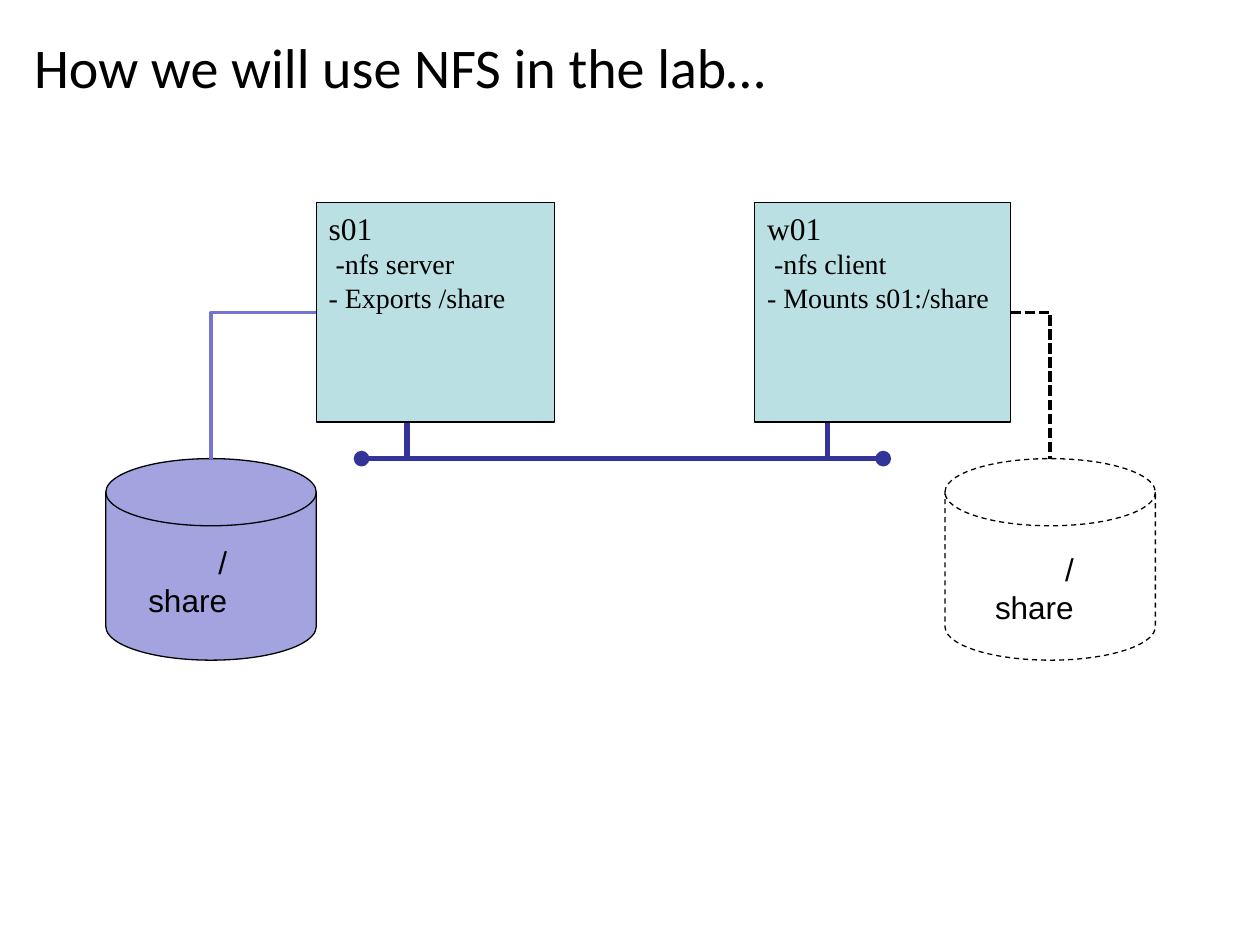
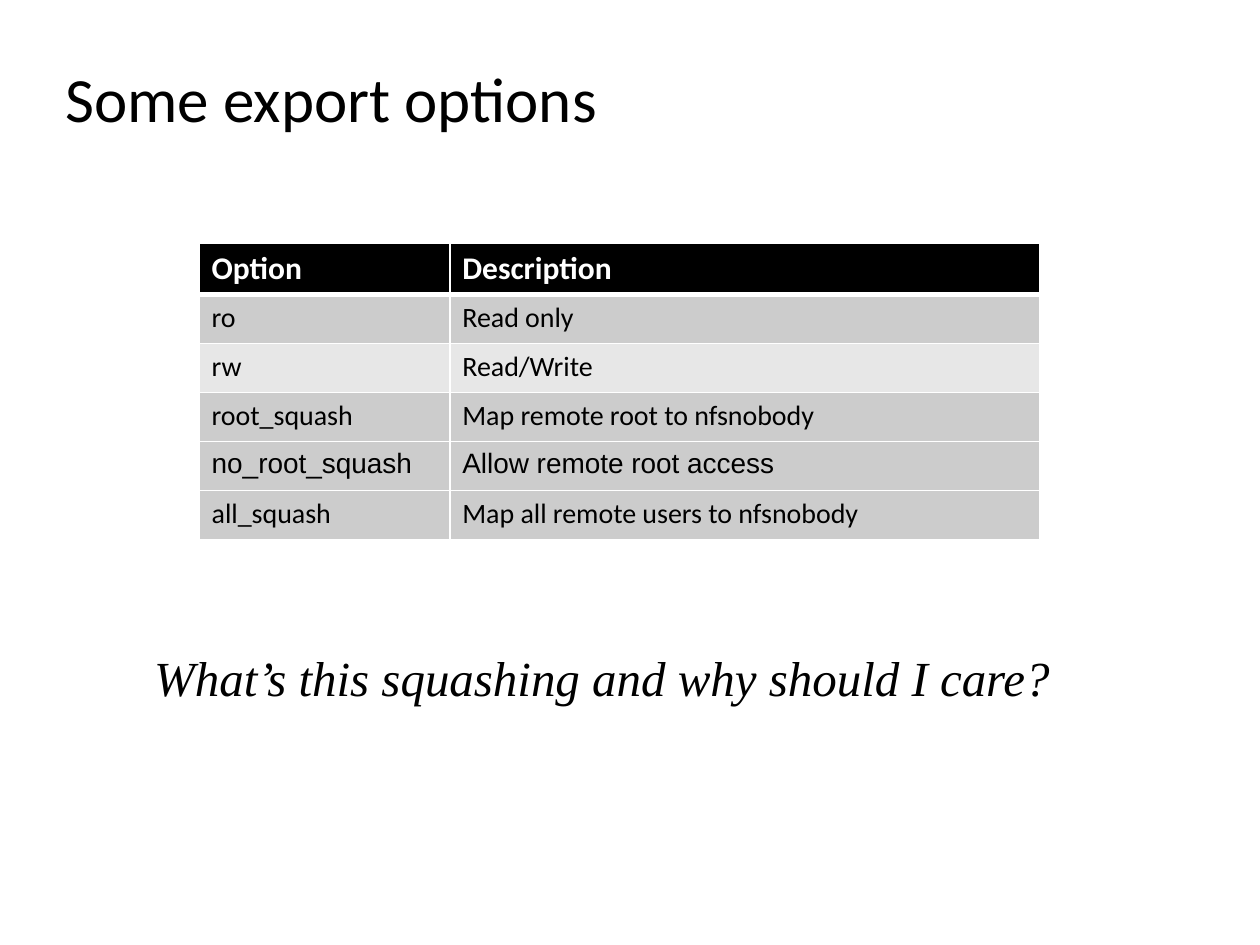
from dataclasses import dataclass
from typing import Optional

from lxml.etree import SubElement
from pptx import Presentation
from pptx.dml.color import RGBColor
from pptx.enum.dml import MSO_LINE
from pptx.enum.shapes import MSO_CONNECTOR, MSO_SHAPE
from pptx.enum.text import MSO_ANCHOR, MSO_AUTO_SIZE, PP_ALIGN
from pptx.oxml.ns import qn
from pptx.util import Inches, Pt

BLACK = RGBColor(0x00, 0x00, 0x00)
WHITE = RGBColor(0xFF, 0xFF, 0xFF)
HOST_FILL = RGBColor(0xBB, 0xE0, 0xE3)
DISK_FILL = RGBColor(0xA3, 0xA3, 0xE0)
DISK_LINK = RGBColor(0x75, 0x75, 0xD1)
NETWORK = RGBColor(0x33, 0x33, 0x99)
ROW_DARK = RGBColor(0xCC, 0xCC, 0xCC)
ROW_LIGHT = RGBColor(0xE7, 0xE7, 0xE7)

SANS, SERIF, PLAIN = "Calibri", "Times New Roman", "Arial"
TITLE_ONLY = 5

HOST_TOP, HOST_HEIGHT = 1.61, 1.74
LINK_Y = 2.48
NETWORK_Y = 3.64
DISK_WIDTH, DISK_HEIGHT = 1.67, 1.6


@dataclass
class Host:
    name: str
    roles: tuple[str, ...]
    left: float
    width: float
    drop_x: float


@dataclass
class Disk:
    left: float
    link_x: float
    label_left: float
    label_top: float
    fill: Optional[RGBColor]
    link_color: RGBColor
    dash: Optional[MSO_LINE] = None
    link_dash: Optional[MSO_LINE] = None


@dataclass
class Option:
    name: str
    description: str
    fill: RGBColor = ROW_DARK
    font: str = SANS


HOSTS = (
    Host("s01", (" -nfs server", "- Exports /share"), 2.51, 1.89, 3.23),
    Host("w01", (" -nfs client", "- Mounts s01:/share"), 5.99, 2.03, 6.57),
)
DISKS = (
    Disk(0.84, 2.51, 1.01, 4.26, DISK_FILL, DISK_LINK),
    Disk(7.5, 8.02, 7.73, 4.32, None, BLACK, MSO_LINE.DASH, MSO_LINE.SQUARE_DOT),
)
OPTIONS = (
    Option("ro", "Read only"),
    Option("rw", "Read/Write", fill=ROW_LIGHT),
    Option("root_squash", "Map remote root to nfsnobody"),
    Option("no_root_squash", "Allow remote root access", font=PLAIN),
    Option("all_squash", "Map all remote users to nfsnobody"),
)


def write(p, text: str, *, size: float, font: str, color: RGBColor = BLACK,
          bold: bool = False, italic: bool = False,
          align: PP_ALIGN = PP_ALIGN.LEFT) -> None:
    p.alignment = align
    r = p.add_run()
    r.text = text
    f = r.font
    f.size, f.name, f.bold, f.italic = Pt(size), font, bold, italic
    f.color.rgb = color


def add_titled_slide(prs, title: str, left: float, top: float, height: float,
                     size: float):
    slide = prs.slides.add_slide(prs.slide_layouts[TITLE_ONLY])
    s = slide.shapes.title
    s.left, s.top = Inches(left), Inches(top)
    s.width, s.height = Inches(9), Inches(height)
    tf = s.text_frame
    tf.auto_size = MSO_AUTO_SIZE.NONE
    tf.vertical_anchor = MSO_ANCHOR.TOP
    write(tf.paragraphs[0], title, size=size, font=SANS)
    return slide


def add_label(slide, text: str, left: float, top: float, width: float,
              height: float, *, wrap: bool, **style) -> None:
    s = slide.shapes.add_textbox(Inches(left), Inches(top),
                                 Inches(width), Inches(height))
    s.text_frame.word_wrap = wrap
    write(s.text_frame.paragraphs[0], text, align=PP_ALIGN.RIGHT, **style)


def add_box(slide, kind: MSO_SHAPE, left: float, top: float, width: float,
            height: float, fill: Optional[RGBColor],
            dash: Optional[MSO_LINE] = None):
    s = slide.shapes.add_shape(kind, Inches(left), Inches(top),
                               Inches(width), Inches(height))
    s.shadow.inherit = False
    if fill is None:
        s.fill.background()
    else:
        s.fill.solid()
        s.fill.fore_color.rgb = fill
    s.line.color.rgb = BLACK
    s.line.width = Pt(0.75)
    if dash is not None:
        s.line.dash_style = dash
    return s


def add_line(slide, x1: float, y1: float, x2: float, y2: float,
             color: RGBColor, width: float, *, bent: bool = False,
             dash: Optional[MSO_LINE] = None, oval_ends: bool = False) -> None:
    kind = MSO_CONNECTOR.ELBOW if bent else MSO_CONNECTOR.STRAIGHT
    s = slide.shapes.add_connector(kind, Inches(x1), Inches(y1),
                                   Inches(x2), Inches(y2))
    s.line.color.rgb = color
    s.line.width = Pt(width)
    if dash is not None:
        s.line.dash_style = dash
    sp_pr = s._element.spPr
    if bent:  # a single corner
        sp_pr.find(qn("a:prstGeom")).set("prst", "bentConnector2")
    if oval_ends:
        for end in ("a:headEnd", "a:tailEnd"):
            SubElement(sp_pr.find(qn("a:ln")), qn(end), type="oval")
    SubElement(sp_pr, qn("a:effectLst"))


def add_host(slide, host: Host) -> None:
    s = add_box(slide, MSO_SHAPE.RECTANGLE, host.left, HOST_TOP,
                host.width, HOST_HEIGHT, HOST_FILL)
    tf = s.text_frame
    tf.vertical_anchor = MSO_ANCHOR.TOP
    write(tf.paragraphs[0], host.name, size=18, font=SERIF)
    for role in host.roles:
        write(tf.add_paragraph(), role, size=16, font=SERIF)


def add_disk(slide, disk: Disk) -> None:
    """Draw a disk, its label and the link to its host."""
    add_box(slide, MSO_SHAPE.FLOWCHART_MAGNETIC_DISK, disk.left, NETWORK_Y,
            DISK_WIDTH, DISK_HEIGHT, disk.fill, disk.dash)
    add_line(slide, disk.link_x, LINK_Y, disk.left + DISK_WIDTH / 2, NETWORK_Y,
             disk.link_color, 2, bent=True, dash=disk.link_dash)
    add_label(slide, "/share", disk.label_left, disk.label_top, 0.89, 0.4,
              wrap=True, size=18, font=PLAIN)


def set_borders(cell, bottom: float) -> None:
    """Give a cell white borders; they must precede its fill."""
    tc_pr = cell._tc.get_or_add_tcPr()
    for side, width in (("L", 0.96), ("R", 0.96), ("T", 0.96), ("B", bottom)):
        ln = SubElement(tc_pr, qn(f"a:ln{side}"), w=str(Pt(width)))
        fill = SubElement(ln, qn("a:solidFill"))
        SubElement(fill, qn("a:srgbClr"), val=str(WHITE))


def fill_row(table, row: int, texts: tuple[str, str], fill: RGBColor,
             bottom: float = 0.96, **style) -> None:
    for col, text in enumerate(texts):
        cell = table.cell(row, col)
        set_borders(cell, bottom)
        cell.fill.solid()
        cell.fill.fore_color.rgb = fill
        write(cell.text_frame.paragraphs[0], text, **style)


def build_lab_slide(prs) -> None:
    slide = add_titled_slide(prs, "How we will use NFS in the lab…",
                             0.17, 0.21, 1.25, 32)
    for host in HOSTS:
        add_line(slide, host.drop_x, NETWORK_Y, host.drop_x, 3.29, NETWORK, 3)
    for host in HOSTS:
        add_host(slide, host)
    add_line(slide, 2.87, NETWORK_Y, 7.01, NETWORK_Y, NETWORK, 3, oval_ends=True)
    for disk in DISKS:
        add_disk(slide, disk)


def build_options_slide(prs) -> None:
    slide = add_titled_slide(prs, "Some export options", 0.42, 0.42, 1, 36)
    rows = len(OPTIONS) + 1
    table = slide.shapes.add_table(rows, 2, Inches(1.58), Inches(1.93),
                                   Inches(6.67), Inches(0.39 * rows)).table
    for column, width in zip(table.columns, (1.99, 4.68)):
        column.width = Inches(width)
    fill_row(table, 0, ("Option", "Description"), BLACK, bottom=3,
             size=18, font=SANS, color=WHITE, bold=True)
    for row, option in enumerate(OPTIONS, start=1):
        fill_row(table, row, (option.name, option.description), option.fill,
                 size=16, font=option.font)
    add_label(slide, "What’s this squashing and why should I care?",
              1.11, 5.09, 7.32, 0.56, wrap=False,
              size=28, font=SERIF, italic=True)


def main() -> None:
    prs = Presentation()
    prs.slide_width, prs.slide_height = Inches(10), Inches(7.5)
    build_lab_slide(prs)
    build_options_slide(prs)
    prs.save("out.pptx")


if __name__ == "__main__":
    main()
